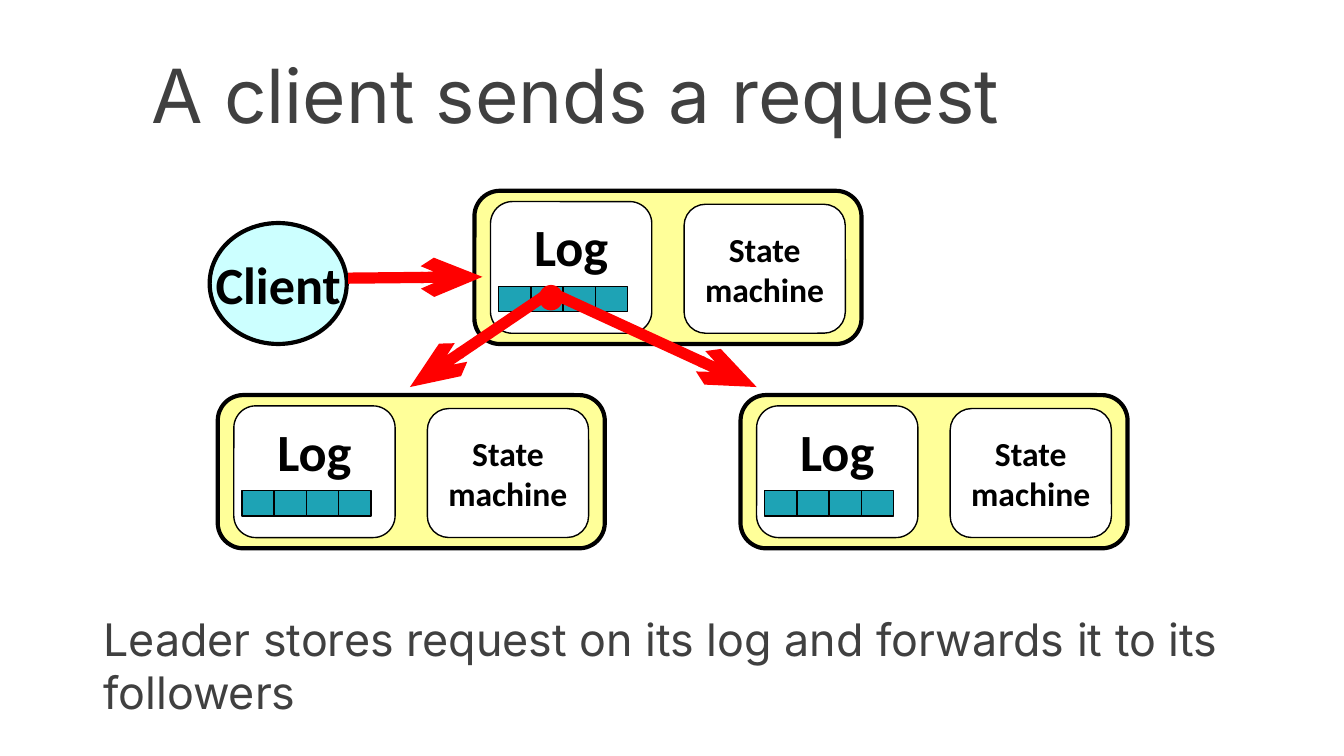
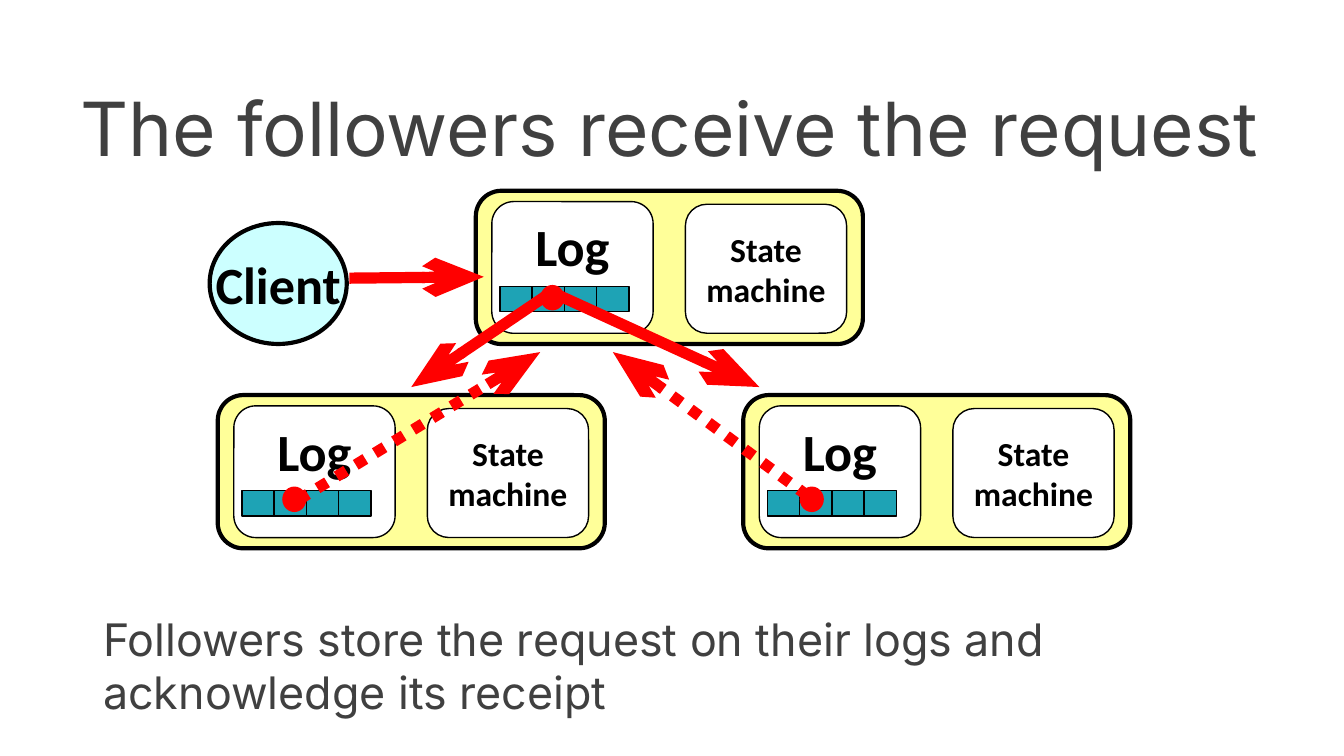
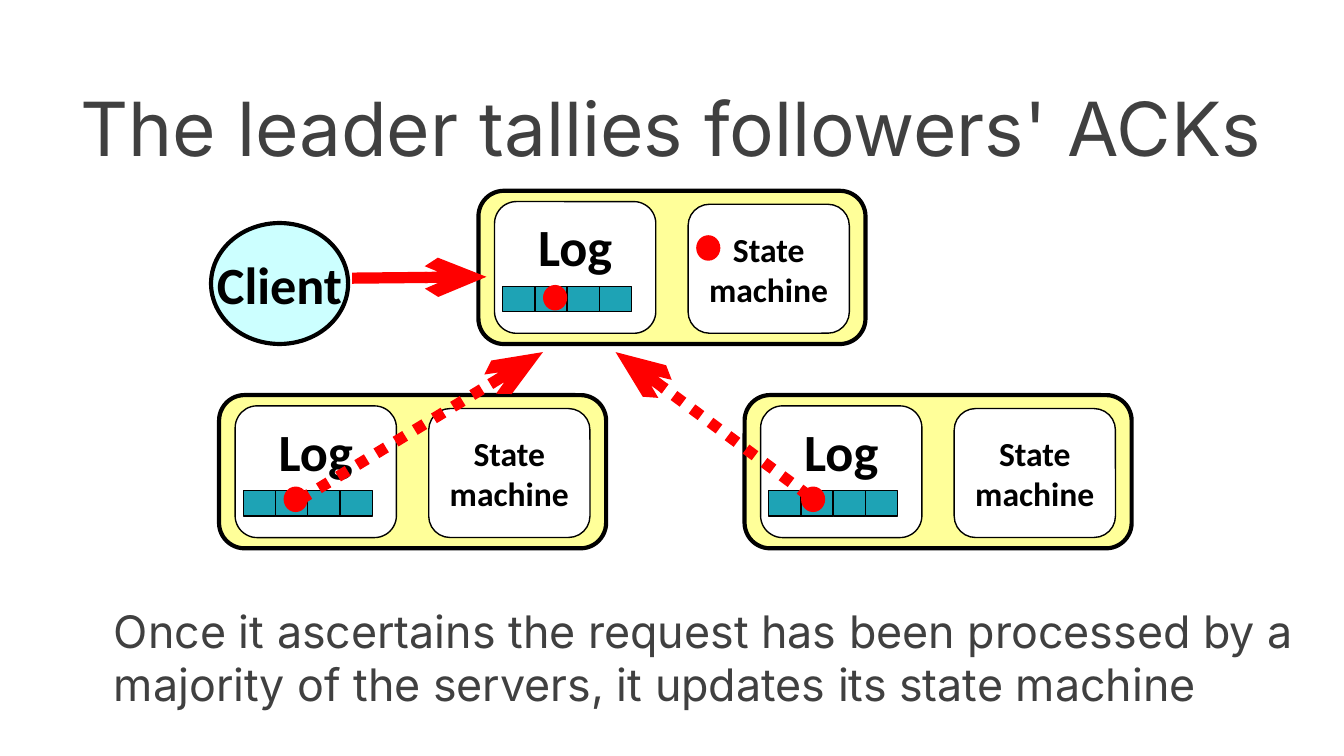
from lxml import etree
from pptx import Presentation
from pptx.dml.color import RGBColor
from pptx.enum import dml, shapes, text
from pptx.oxml import ns
from pptx.util import Inches, Pt

COLORS = {
    "text": "404040", "ink": "000000", "server": "FFFF99", "panel": "FFFFFF",
    "entry": "1EA3B5", "client": "CCFFFF", "request": "FF0000",
}
ROUNDED = shapes.MSO_SHAPE.ROUNDED_RECTANGLE
RECT = shapes.MSO_SHAPE.RECTANGLE
OVAL = shapes.MSO_SHAPE.OVAL
LEADER_TOP, FOLLOWER_TOP = 1.42, 2.94
ENTRY_STEP = 0.24

STEPS = [
    {"title": "A client sends a request", "title_box": (1.03, 0.23, 7.84, 0.94),
     "caption": "Leader stores request on its log and forwards it to its followers",
     "caption_at": (0.67, 4.5), "client": 1.56, "leader": 3.53, "followers": (1.62, 5.51),
     "forwards": True, "acks": False, "applied": False},
    {"title": "The followers receive the request", "title_box": (0.5, 0.38, 9.25, 1.12),
     "caption": "Followers store the request on their logs and acknowledge its receipt",
     "caption_at": (0.67, 4.5), "client": 1.56, "leader": 3.54, "followers": (1.62, 5.53),
     "forwards": True, "acks": True, "applied": False},
    {"title": "The leader tallies followers' ACKs", "title_box": (0.5, 0.38, 9.5, 1.12),
     "caption": "Once it ascertains the request has been processed by a majority "
                "of the servers, it updates its state machine",
     "caption_at": (0.75, 4.44), "client": 1.57, "leader": 3.56, "followers": (1.63, 5.54),
     "forwards": False, "acks": True, "applied": True},
]


def add_part(parent, preset, box, fill, outline=0, lines=(), size=18, anchor="MIDDLE"):
    part = parent.add_shape(preset, *[Inches(v) for v in box])
    part.shadow.inherit = False
    part.fill.solid()
    part.fill.fore_color.rgb = RGBColor.from_string(COLORS[fill])
    if outline:
        part.line.color.rgb = RGBColor.from_string(COLORS["ink"])
        part.line.width = Pt(outline)
    else:
        part.line.fill.background()
    if lines:
        frame = part.text_frame
        frame.word_wrap = False
        frame.vertical_anchor = text.MSO_ANCHOR[anchor]
        frame.text = "\n".join(lines)
        for paragraph in frame.paragraphs:
            paragraph.alignment = text.PP_ALIGN.CENTER
            paragraph.font.name = "Calibri"
            paragraph.font.size = Pt(size)
            paragraph.font.bold = True
            paragraph.font.color.rgb = RGBColor.from_string(COLORS["ink"])


def add_message(parent, start, end, dotted=False):
    message = parent.add_connector(
        shapes.MSO_CONNECTOR.STRAIGHT, *[Inches(v) for v in (*start, *end)])
    message.line.color.rgb = RGBColor.from_string(COLORS["request"])
    message.line.width = Pt(6)
    if dotted:
        message.line.dash_style = dml.MSO_LINE.ROUND_DOT
    etree.SubElement(message.line._get_or_add_ln(), ns.qn("a:tailEnd"),
                     type="arrow", w="med", len="lg")
    etree.SubElement(message._element.spPr, ns.qn("a:effectLst"))


prs = Presentation()
prs.slide_width, prs.slide_height = Inches(10), Inches(10 * 9 / 16)

for step in STEPS:
    canvas = prs.slides.add_slide(prs.slide_layouts[6]).shapes
    leader = step["leader"]
    left, right = step["followers"]

    for wording, box, size, anchor in [
        (step["title"], step["title_box"], 40, "MIDDLE"),
        (step["caption"], (*step["caption_at"], 9, 0.75), 24, "TOP"),
    ]:
        frame = canvas.add_textbox(*[Inches(v) for v in box]).text_frame
        frame.word_wrap = True
        frame.vertical_anchor = text.MSO_ANCHOR[anchor]
        frame.text = wording
        font = frame.paragraphs[0].font
        font.name, font.size = "Inter", Pt(size)
        font.color.rgb = RGBColor.from_string(COLORS["text"])

    for x, y in [(leader, LEADER_TOP), (left, FOLLOWER_TOP), (right, FOLLOWER_TOP)]:
        server = canvas.add_group_shape().shapes
        add_part(server, ROUNDED, (x, y, 2.88, 1.14), "server", 2.25)
        add_part(server, ROUNDED, (x + 1.56, y + 0.1, 1.2, 0.96), "panel", 0.75,
                 ["State", "machine"])
        add_part(server, ROUNDED, (x + 0.12, y + 0.08, 1.2, 0.98), "panel", 0.75,
                 ["Log"], 28, "TOP")
        for entry in range(4):
            add_part(server, RECT, (x + 0.18 + entry * ENTRY_STEP, y + 0.71, ENTRY_STEP, 0.19),
                     "entry", 0.75)

    add_part(canvas, OVAL, (step["client"], 1.66, 1.02, 0.9), "client", 2.25, ["Client"], 28)
    add_message(canvas, (leader - 0.94, 2.07), (leader + 0.06, 2.06))

    stored = [(leader + 0.48, 2.12)]
    if step["acks"]:
        stored += [(left + 0.48, 3.62), (right + 0.42, 3.62)]
    if step["applied"]:
        stored.append((leader + 1.62, 1.75))
    for x, y in stored:
        add_part(canvas, OVAL, (x, y, 0.18, 0.19), "request")

    if step["forwards"]:
        add_message(canvas, (leader + 0.54, 2.19), (leader - 0.48, 2.88))
        add_message(canvas, (leader + 0.6, 2.19), (right + 0.12, 2.88))
    if step["acks"]:
        add_message(canvas, (left + 0.6, 3.72), (leader + 0.48, 2.62), dotted=True)
        add_message(canvas, (right + 0.48, 3.69), (leader + 1.02, 2.62), dotted=True)

prs.save("out.pptx")
